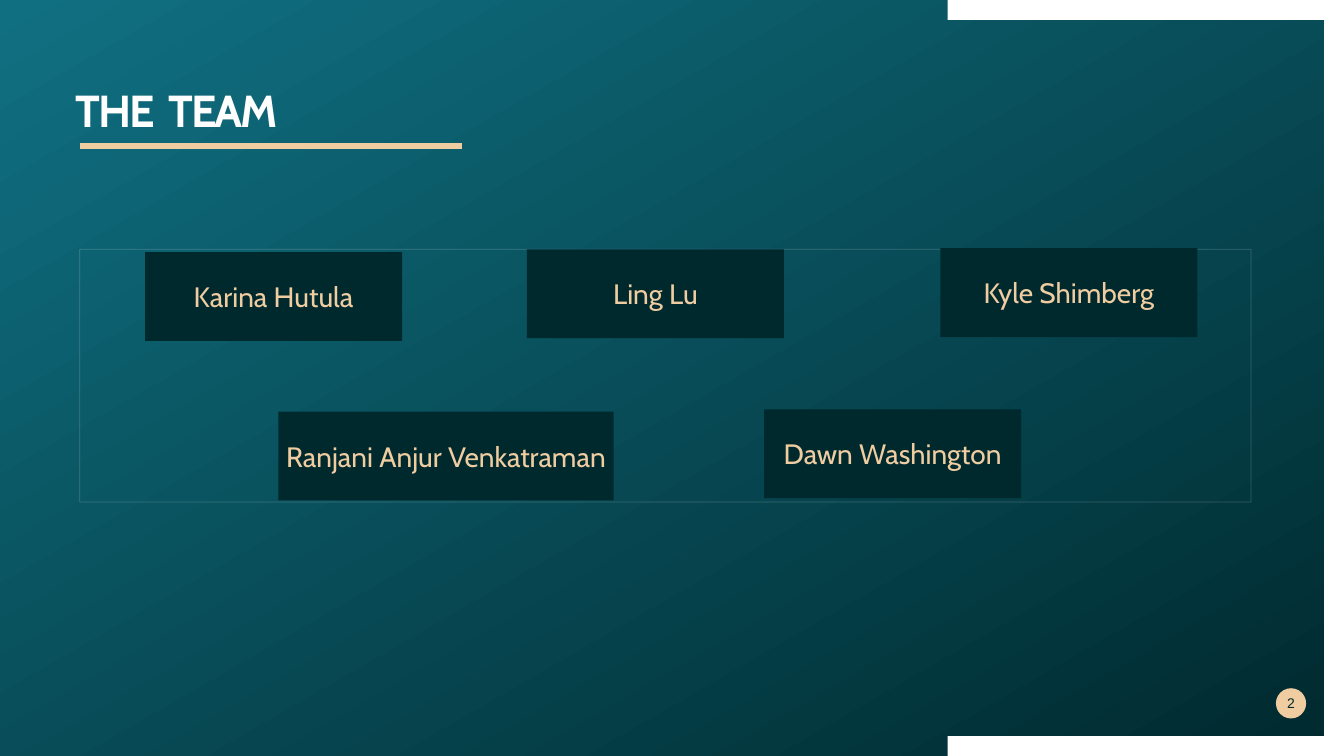
from lxml import etree
from pptx import Presentation
from pptx.dml.color import RGBColor
from pptx.enum import shapes as sh, text as tx
from pptx.oxml import ns
from pptx.util import Pt

DARK = RGBColor(0x00, 0x29, 0x2E)
TEAL = RGBColor(0x10, 0x70, 0x82)
SAND = RGBColor(0xF0, 0xCD, 0xA1)
WHITE = RGBColor(0xFF, 0xFF, 0xFF)
WIDE, HIGH = 960, 540
RECT, OVAL = sh.MSO_SHAPE.RECTANGLE, sh.MSO_SHAPE.OVAL
CENTER = tx.PP_ALIGN.CENTER


def put(item, vals):
    for name, val in vals.items():
        setattr(item, name, val)


class Deck:
    font = "Cabin"

    def __init__(self):
        self.prs = Presentation()
        put(self.prs, {"slide_width": Pt(WIDE), "slide_height": Pt(HIGH)})
        self.slide = self.prs.slides.add_slide(self.prs.slide_layouts[5])
        self.shapes = self.slide.shapes

    def shape(self, kind, x, y, w, h, fill=None):
        box = self.shapes.add_shape(kind, Pt(x), Pt(y), Pt(w), Pt(h))
        box.shadow.inherit = False
        box.line.fill.background()
        if fill is None:
            box.fill.background()
        else:
            box.fill.solid()
            box.fill.fore_color.rgb = fill
        return box

    def label(self, box, words, size, color, para, font=None, bold=False,
              anchor=tx.MSO_ANCHOR.MIDDLE, wrap=True):
        frame = box.text_frame
        put(frame, {"margin_left": 0, "margin_right": 0, "margin_top": 0,
                    "margin_bottom": 0, "word_wrap": wrap,
                    "auto_size": tx.MSO_AUTO_SIZE.NONE,
                    "vertical_anchor": anchor})
        line = frame.paragraphs[0]
        put(line, para)
        run = line.add_run()
        run.text = words
        put(run.font, {"name": font or self.font, "size": Pt(size), "bold": bold})
        run.font.color.rgb = color

    def ground(self):
        box = self.shape(RECT, 0, 0, WIDE, HIGH)
        box.fill.gradient()
        box.fill.gradient_angle = 120
        for stop, (pos, color) in zip(box.fill.gradient_stops,
                                      [(0, DARK), (1, TEAL)]):
            stop.position = pos
            stop.color.rgb = color

    def bracket(self, left, thick):
        right, low = WIDE - thick, HIGH - thick
        pen = self.shapes.build_freeform(Pt(left), 0)
        pts = [(WIDE, 0), (WIDE, HIGH), (left, HIGH), (left, low),
               (right, low), (right, thick), (left, thick)]
        pen.add_line_segments([(Pt(x), Pt(y)) for x, y in pts], close=True)
        form = pen.convert_to_shape()
        form.shadow.inherit = False
        form.fill.solid()
        form.fill.fore_color.rgb = WHITE
        form.line.fill.background()

    def panel(self, x, y, w, h):
        box = self.shape(RECT, x, y, w, h)
        box.line.color.rgb = WHITE
        box.line.width = Pt(0.5)
        edge = box.element.spPr.find(ns.qn("a:ln"))
        tint = edge.find(".//" + ns.qn("a:srgbClr"))
        etree.SubElement(tint, ns.qn("a:alpha")).set("val", "20000")

    def card(self, name, x, y, w):
        box = self.shape(RECT, x, y, w, 63.5, DARK)
        self.label(box, name, 20, SAND,
                   {"alignment": CENTER, "space_after": Pt(10)})

    def badge(self, words, x, y, size):
        box = self.shape(OVAL, x, y, size, size, SAND)
        self.label(box, words, 10, DARK, {"alignment": CENTER},
                   font="Arial", wrap=False)

    def title(self, words, x, y, w, h):
        head = self.shapes.title
        put(head, {"left": Pt(x), "top": Pt(y), "width": Pt(w), "height": Pt(h)})
        self.label(head, words, 32, WHITE,
                   {"alignment": tx.PP_ALIGN.LEFT, "line_spacing": 0.9},
                   bold=True, anchor=tx.MSO_ANCHOR.TOP)
        head.element.find(".//" + ns.qn("a:rPr")).set("spc", "-150")
        self.shapes.element.append(head.element)  # bring to front

    def rule(self, x, y, w):
        line = self.shapes.add_connector(sh.MSO_CONNECTOR.STRAIGHT,
                                         Pt(x), Pt(y), Pt(x + w), Pt(y))
        line.line.color.rgb = SAND
        line.line.width = Pt(4.32)
        etree.SubElement(line.element.spPr, ns.qn("a:effectLst"))


def main():
    deck = Deck()

    # Backdrop
    deck.ground()
    deck.bracket(676.8, 14.2)

    # Team panel and names
    deck.panel(57, 178, 836.6, 180.6)
    deck.badge("2", 911.4, 491.6, 21.6)
    team = [("Karina Hutula", 103.6, 180.1, 183.6),
            ("Ling Lu", 376.4, 178.1, 183.6),
            ("Kyle Shimberg", 671.7, 177.3, 183.6),
            ("Ranjani Anjur Venkatraman", 198.8, 294, 239.6),
            ("Dawn Washington", 545.8, 292.4, 183.6)]
    for member in team:
        deck.card(*member)

    # Title and rule
    deck.title("THE  TEAM", 54, 63.4, 595.4, 28.8)
    deck.rule(57, 104.2, 273.3)

    deck.prs.save("out.pptx")


if __name__ == "__main__":
    main()
